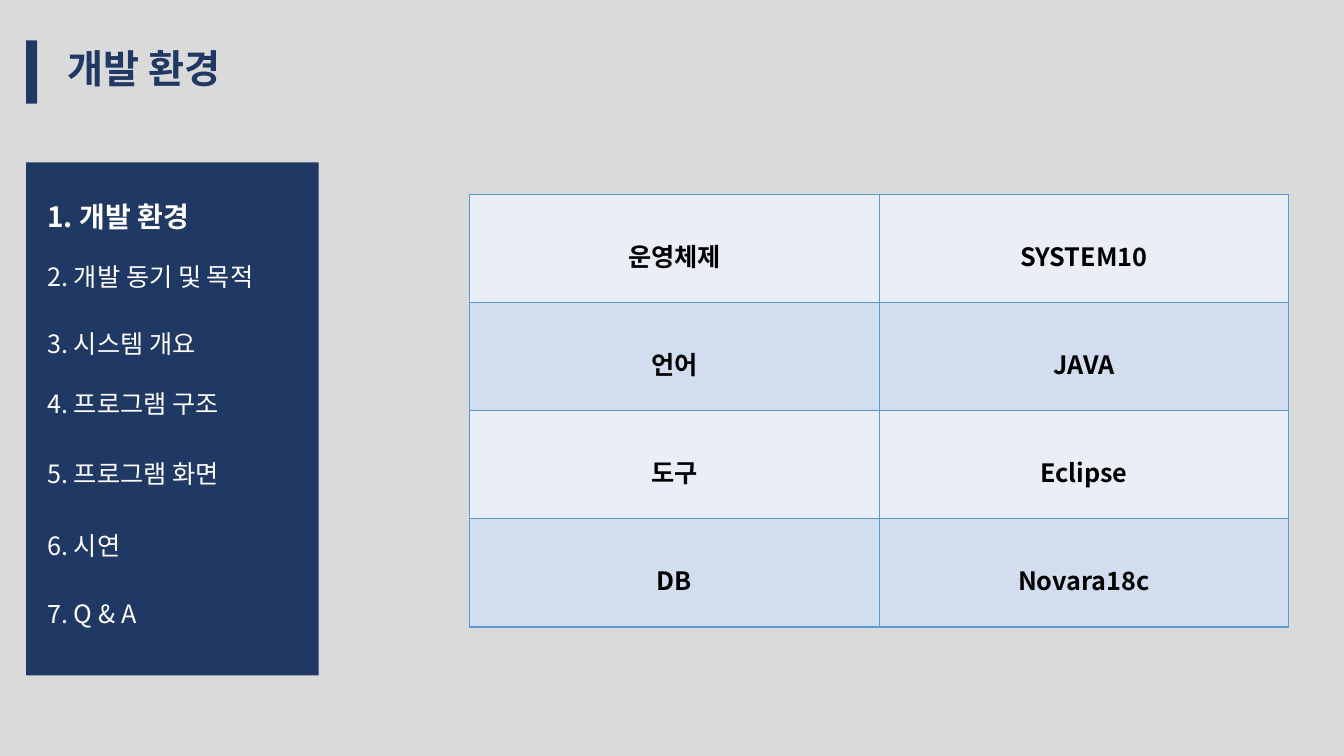
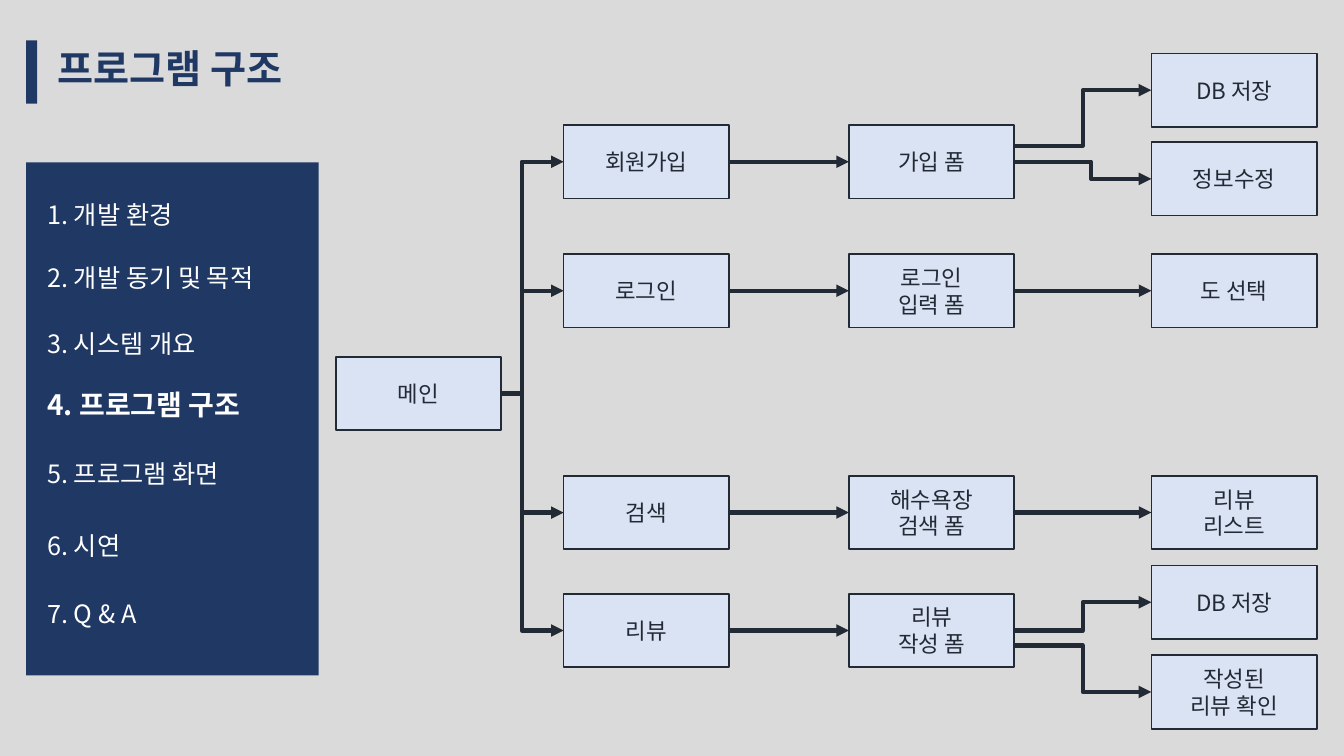
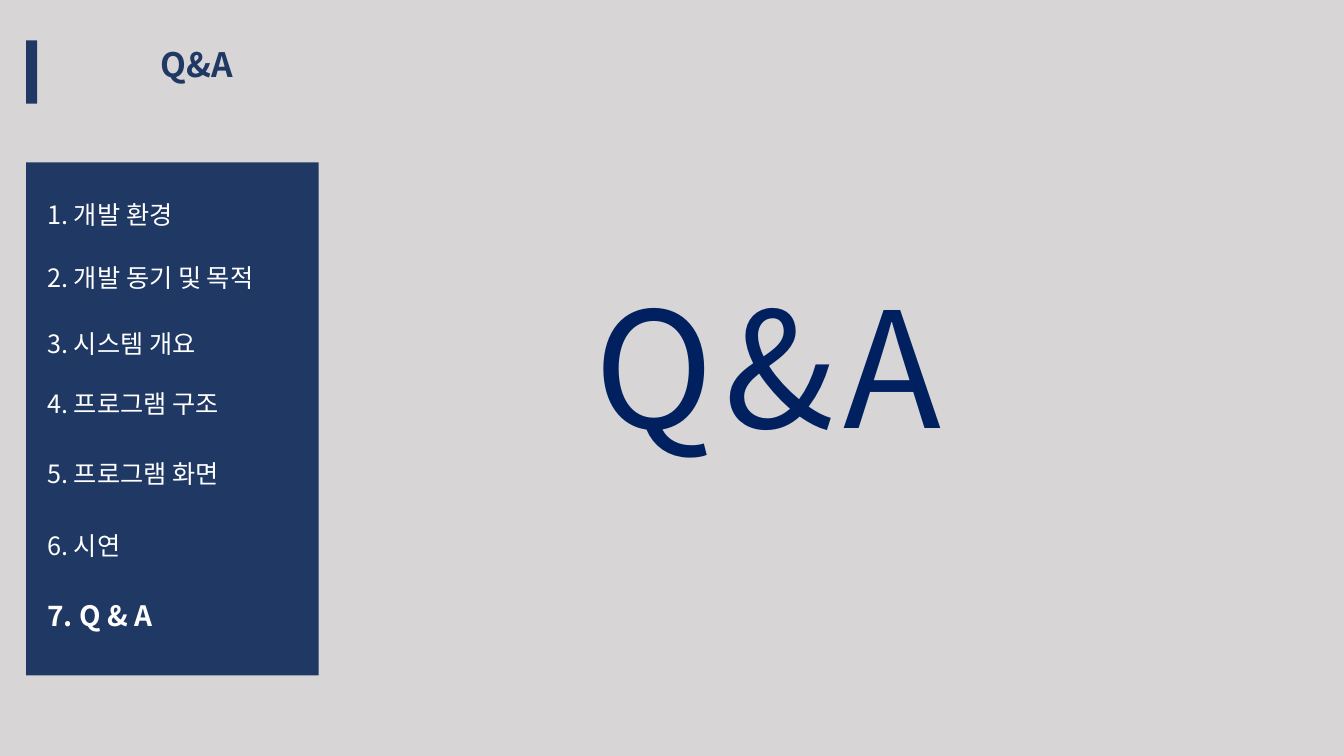
import pptx
import pptx.dml.color
import pptx.enum.shapes
import pptx.enum.text
import pptx.oxml
import pptx.oxml.ns
import pptx.util

FONT = "Noto Sans CJK KR"
COLORS = {
    "backdrop": "DBDADA",
    "closing_backdrop": "D7D5D5",
    "navy": "203864",
    "deep_navy": "002060",
    "white": "FFFFFF",
    "black": "000000",
    "ink": "222A35",
    "node": "DAE3F3",
    "row_light": "EAEFF7",
    "row_dark": "D2DEEF",
    "border": "5B9BD5",
}
AGENDA = [
    ("1. 개발 환경", 1.93),
    ("2. 개발 동기 및 목적", 2.55),
    ("3. 시스템 개요", 3.21),
    ("4. 프로그램 구조", 3.80),
    ("5. 프로그램 화면", 4.50),
    ("6. 시연", 5.21),
    ("7. Q & A", 5.89),
]
LINE_HEIGHT = 1.19
PANEL_BOX = (0.26, 1.61, 2.9, 5.09)
ALIGN = pptx.enum.text.PP_ALIGN
ANCHOR = pptx.enum.text.MSO_ANCHOR
CONNECTOR = pptx.enum.shapes.MSO_CONNECTOR
RECTANGLE = pptx.enum.shapes.MSO_SHAPE.RECTANGLE


def rgb(name):
    return pptx.dml.color.RGBColor.from_string(COLORS[name])


def inches(box):
    return [pptx.util.Inches(length) for length in box]


def add_xml(parent, tag, **attributes):
    element = pptx.oxml.parse_xml(f"<a:{tag} {pptx.oxml.ns.nsdecls('a')}/>")
    for name, value in attributes.items():
        element.set(name, value)
    parent.append(element)
    return element


def add_span(para, text, size, color, bold=False):
    span = para.add_run()
    span.text = text
    span.font.size = pptx.util.Pt(size)
    span.font.bold = bold
    span.font.color.rgb = rgb(color)
    span.font.name = FONT
    add_xml(span._r.get_or_add_rPr(), "ea", typeface=FONT)


def place(shape, box):
    shape.left, shape.top, shape.width, shape.height = inches(box)


def fill_shape(shape, color):
    shape.fill.solid()
    shape.fill.fore_color.rgb = rgb(color)


def add_rectangle(page, box, color):
    shape = page.shapes.add_shape(RECTANGLE, *inches(box))
    shape.shadow.inherit = False
    fill_shape(shape, color)
    shape.line.fill.background()
    return shape


def fill_title(page, text, box, size, align):
    title = page.shapes.title
    place(title, box)
    frame = title.text_frame
    frame.auto_size = pptx.enum.text.MSO_AUTO_SIZE.NONE
    frame.vertical_anchor = ANCHOR.TOP
    para = frame.paragraphs[0]
    para.alignment = align
    add_span(para, text, size, "navy", True)


def fill_agenda(page, box, current):
    panel = page.placeholders[1]
    place(panel, box)
    fill_shape(panel, "navy")
    frame = panel.text_frame
    frame.auto_size = pptx.enum.text.MSO_AUTO_SIZE.NONE
    frame.vertical_anchor = ANCHOR.TOP
    frame.margin_left = pptx.util.Inches(0.21)
    frame.margin_top = pptx.util.Inches(0.37)
    bottom = AGENDA[0][1] * 72
    for number, (text, top) in enumerate(AGENDA, 1):
        para = frame.paragraphs[0] if number == 1 else frame.add_paragraph()
        active = number == current
        size = 20 if active else 18
        height = size * LINE_HEIGHT
        properties = para._p.get_or_add_pPr()
        properties.set("marL", "0")
        properties.set("indent", "0")
        add_xml(properties, "buNone")
        para.line_spacing = pptx.util.Pt(height)
        para.space_before = pptx.util.Pt(round(top * 72 - bottom, 1))
        add_span(para, text, size, "white", active)
        bottom = top * 72 + height


def add_page(deck, title, title_box, current, size=28, align=ALIGN.LEFT):
    page = deck.slides.add_slide(deck.slide_layouts[1])
    fill_title(page, title, title_box, size, align)
    fill_agenda(page, PANEL_BOX, current)
    add_rectangle(page, (0.26, 0.4, 0.11, 0.63), "navy")
    return page


def add_borders(cell):
    properties = cell._tc.get_or_add_tcPr()
    for side in ("lnL", "lnR", "lnT", "lnB"):
        line = add_xml(properties, side, w=str(int(pptx.util.Pt(1))))
        fill = add_xml(line, "solidFill")
        add_xml(fill, "srgbClr", val=COLORS["border"])


def add_environment_table(page, box, rows):
    frame = page.shapes.add_table(len(rows), len(rows[0]), *inches(box))
    table = frame.table
    table.first_row = False
    table.horz_banding = False
    for row_index, row in enumerate(rows):
        for column_index, text in enumerate(row):
            cell = table.cell(row_index, column_index)
            add_borders(cell)
            fill_shape(cell, "row_dark" if row_index % 2 else "row_light")
            cell.vertical_anchor = ANCHOR.MIDDLE
            cell.margin_top = pptx.util.Inches(0.18)
            para = cell.text_frame.paragraphs[0]
            para.alignment = ALIGN.CENTER
            add_span(para, text, 18, "black", True)


def add_node(page, box, text):
    node = add_rectangle(page, box, "node")
    node.line.color.rgb = rgb("ink")
    node.line.width = pptx.util.Pt(1.25)
    frame = node.text_frame
    frame.word_wrap = True
    frame.vertical_anchor = ANCHOR.MIDDLE
    for index, line in enumerate(text.split("\n")):
        para = frame.add_paragraph() if index else frame.paragraphs[0]
        para.alignment = ALIGN.CENTER
        add_span(para, line, 16, "ink")
    return node


def add_arrow(page, source, target, bend=None, shift=0):
    kind = CONNECTOR.STRAIGHT if bend is None else CONNECTOR.ELBOW
    arrow = page.shapes.add_connector(
        kind,
        source.left + source.width,
        source.top + source.height // 2 + pptx.util.Inches(shift),
        target.left,
        target.top + target.height // 2,
    )
    if bend is None:
        arrow.begin_connect(source, 3)
        arrow.end_connect(target, 1)
    else:
        guides = arrow._element.spPr.prstGeom.get_or_add_avLst()
        add_xml(guides, "gd", name="adj1", fmla=f"val {round(bend * 100000)}")
    arrow.line.width = pptx.util.Pt(3)
    arrow.line.color.rgb = rgb("ink")
    properties = arrow._element.spPr
    add_xml(properties.get_or_add_ln(), "tailEnd", type="triangle")
    add_xml(properties, "effectLst")


def add_program_map(page, left, top):
    columns = (0, 2.26, 5.09, 8.09)
    rows = (0.71, 1.99, 4.19, 5.36)

    def node(column, offset, text):
        return add_node(
            page, (left + columns[column], top + offset, 1.64, 0.73), text
        )

    main_node = node(0, 3.01, "메인")
    menus = [
        node(1, row, text)
        for row, text in zip(rows, ("회원가입", "로그인", "검색", "리뷰"))
    ]
    form_texts = ("가입 폼", "로그인\n입력 폼", "해수욕장\n검색 폼", "리뷰\n작성 폼")
    forms = [node(2, row, text) for row, text in zip(rows, form_texts)]
    join, login, search, review = forms

    for menu, form in zip(menus, forms):
        add_arrow(page, main_node, menu, 0.33)
        add_arrow(page, menu, form)

    results = [
        (join, 0, "DB 저장", 0.5, -0.16),
        (join, 0.88, "정보수정", 0.56, 0),
        (login, rows[1], "도 선택", None, 0),
        (search, rows[2], "리뷰\n리스트", None, 0),
        (review, 5.08, "DB 저장", 0.5, 0),
        (review, 5.97, "작성된\n리뷰 확인", 0.5, 0.15),
    ]
    for form, offset, text, bend, shift in results:
        add_arrow(page, form, node(3, offset, text), bend, shift)


def add_closing_words(page, box):
    words = page.shapes.add_textbox(*inches(box))
    words.text_frame.word_wrap = True
    para = words.text_frame.paragraphs[0]
    for text in "Q & A":
        add_span(para, text, 32 if text == " " else 115, "deep_navy")


def main():
    deck = pptx.Presentation()
    deck.slide_width, deck.slide_height = inches((13.33, 7.5))
    fill_shape(deck.slide_master.background, "backdrop")

    environment = add_page(deck, "개발 환경", (0.57, 0.39, 2.3, 0.57), 1)
    add_environment_table(
        environment,
        (4.66, 1.93, 8.12, 4.29),
        [
            ("운영체제", "SYSTEM10"),
            ("언어", "JAVA"),
            ("도구", "Eclipse"),
            ("DB", "Novara18c"),
        ],
    )

    structure = add_page(deck, "프로그램 구조", (0.47, 0.39, 2.97, 0.57), 4)
    add_program_map(structure, 3.33, 0.53)

    closing = add_page(
        deck, "Q&A", (0.47, 0.39, 2.97, 0.5), 7, 24, ALIGN.CENTER
    )
    fill_shape(closing.background, "closing_backdrop")
    add_closing_words(closing, (5.8, 2.6, 7.4, 2.04))

    deck.save("out.pptx")


if __name__ == "__main__":
    main()
